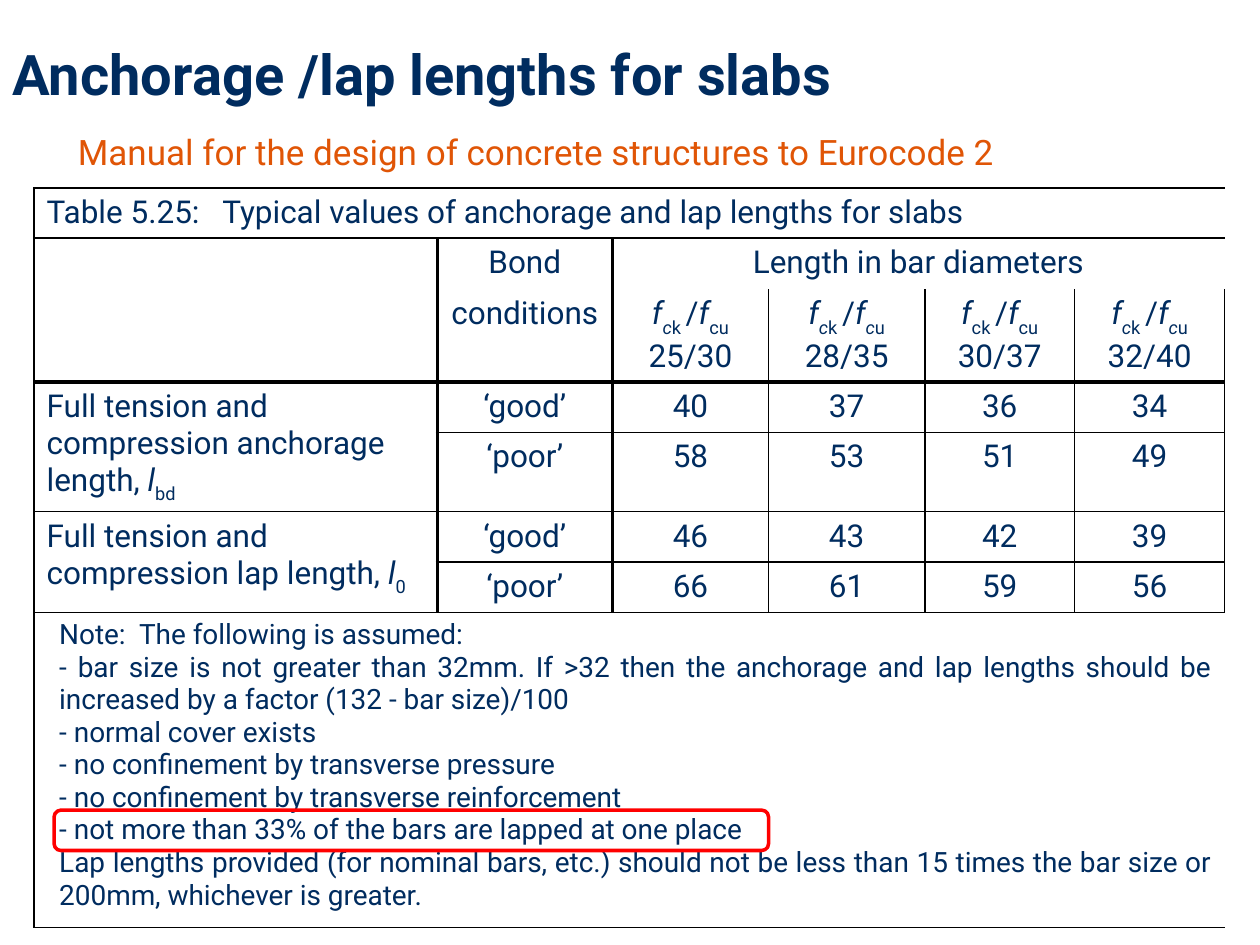
from dataclasses import dataclass

from lxml.etree import SubElement
from pptx import Presentation
from pptx.dml.color import RGBColor
from pptx.enum.shapes import MSO_SHAPE
from pptx.enum.text import MSO_ANCHOR, PP_ALIGN as Al
from pptx.oxml.ns import qn
from pptx.util import Inches, Pt


@dataclass(frozen=True)
class Theme:
    font: str = "Roboto"
    navy: str = "002C5F"
    orange: str = "E05506"
    red: str = "FF0000"
    white: str = "FFFFFF"
    black: str = "000000"
    title: int = 32
    subtitle: int = 20
    body: int = 18
    note: int = 16
    thin: int = 1
    thick: int = 2


T = Theme()
COLS = [3.2, 1.39, 1.24, 1.24, 1.19, 1.19]
ROWS = [0.4, 0.4, 0.73, 0.4, 0.63, 0.4, 0.4, 2.5]
LAST = len(ROWS) - 1
SPANS = [(0, 0, 0, 5), (1, 2, 1, 5), (3, 0, 4, 0), (5, 0, 6, 0), (LAST, 0, LAST, 5)]
LENGTHS = [
    ("‘good’", 40, 37, 36, 34),
    ("‘poor’", 58, 53, 51, 49),
    ("‘good’", 46, 43, 42, 39),
    ("‘poor’", 66, 61, 59, 56),
]
NOTES = [
    "Note:  The following is assumed:",
    "- bar size is not greater than 32mm. If >32 then the anchorage and lap lengths "
    "should be increased by a factor (132 - bar size)/100",
    "- normal cover exists",
    "- no confinement by transverse pressure",
    "- no confinement by transverse reinforcement",
    "- not more than 33% of the bars are lapped at one place",
    "Lap lengths provided (for nominal bars, etc.) should not be less than 15 times "
    "the bar size or 200mm, whichever is greater.",
]
ITALIC, SUB, ITALIC_SUB = "i", "s", "is"


def rgb(color):
    return RGBColor.from_string(color)


def add_runs(p, runs, size=T.body, color=T.navy, bold=False, align=Al.LEFT):
    p.alignment = align
    for text, style in runs:
        r = p.add_run()
        r.text = text
        font = {"name": T.font, "size": Pt(size), "bold": bold, "italic": "i" in style}
        for name, value in font.items():
            setattr(r.font, name, value)
        r.font.color.rgb = rgb(color)
        if "s" in style:
            r._r.get_or_add_rPr().set("baseline", "-30000")


def add_text(s, box, text, **fmt):
    tf = s.shapes.add_textbox(*map(Inches, box)).text_frame
    tf.word_wrap = True
    tf.vertical_anchor = MSO_ANCHOR.MIDDLE
    add_runs(tf.paragraphs[0], [(text, "")], **fmt)


def grade(text, ck_style, cu_style):
    return [("f", ITALIC), ("c", ck_style), ("k ", SUB), ("/", ""),
            ("f", ITALIC), ("c", cu_style), ("u", SUB), (" " + text, "")]


def same_span(a, b):
    return any(all(top <= row <= bottom and left <= col <= right for row, col in (a, b))
               for top, left, bottom, right in SPANS)


def edge_width(cell, neighbour):
    if same_span(cell, neighbour):
        return 0
    if cell[0] == neighbour[0]:
        return T.thick if max(cell[1], neighbour[1]) in (1, 2) else T.thin
    return {2: 0, 3: T.thick}.get(max(cell[0], neighbour[0]), T.thin)


def style_cell(cell, row, col):
    neighbours = {"L": (row, col - 1), "R": (row, col + 1),
                  "T": (row - 1, col), "B": (row + 1, col)}
    tc_pr = cell._tc.get_or_add_tcPr()
    for side, neighbour in neighbours.items():
        width = edge_width((row, col), neighbour)
        ln = SubElement(tc_pr, qn("a:ln" + side), w=str(Pt(width)))
        if width:
            fill = SubElement(ln, qn("a:solidFill"))
            SubElement(fill, qn("a:srgbClr"), val=T.black)
        else:
            SubElement(ln, qn("a:noFill"))
    cell.fill.solid()
    cell.fill.fore_color.rgb = rgb(T.white)


def fill_notes(cell):
    tf = cell.text_frame
    for i, note in enumerate(NOTES):
        p = tf.add_paragraph() if i else tf.paragraphs[0]
        add_runs(p, [(note, "")], size=T.note, align=Al.JUSTIFY)
        p._p.get_or_add_pPr().set("marL", str(Inches(0.1)))


def add_length_table(s):
    frame = s.shapes.add_table(len(ROWS), len(COLS), Inches(0.27), Inches(1.49),
                               Inches(sum(COLS)), Inches(sum(ROWS)))
    table = frame.table
    table.first_row = table.horz_banding = False
    for column, width in zip(table.columns, COLS):
        column.width = Inches(width)
    for line, height in zip(table.rows, ROWS):
        line.height = Inches(height)
    for row in range(len(ROWS)):
        for col in range(len(COLS)):
            style_cell(table.cell(row, col), row, col)
    for top, left, bottom, right in SPANS:
        table.cell(top, left).merge(table.cell(bottom, right))

    left_cells = {
        (0, 0): [("Table 5.25:   Typical values of anchorage and lap lengths for slabs", "")],
        (3, 0): [("Full tension and compression anchorage length, ", ""),
                 ("l", ITALIC), ("bd", SUB)],
        (5, 0): [("Full tension and compression lap length, ", ""), ("l", ITALIC), ("0", SUB)],
    }
    centred_cells = {
        (1, 1): [("Bond", "")],
        (1, 2): [("Length in bar diameters", "")],
        (2, 1): [("conditions", "")],
        (2, 2): grade("25/30", ITALIC_SUB, SUB),
        (2, 3): grade("28/35", ITALIC_SUB, ITALIC_SUB),
        (2, 4): grade("30/37", SUB, SUB),
        (2, 5): grade("32/40", ITALIC_SUB, ITALIC_SUB),
    }
    for row, values in enumerate(LENGTHS, 3):
        for col, value in enumerate(values, 1):
            centred_cells[row, col] = [(str(value), "")]
    for cells, align in ((left_cells, Al.LEFT), (centred_cells, Al.CENTER)):
        for place, runs in cells.items():
            add_runs(table.cell(*place).text_frame.paragraphs[0], runs, align=align)
    fill_notes(table.cell(LAST, 0))


def add_highlight(s, box):
    sp = s.shapes.add_shape(MSO_SHAPE.ROUNDED_RECTANGLE, *map(Inches, box))
    sp.shadow.inherit = False
    sp.fill.background()
    sp.line.color.rgb = rgb(T.red)
    sp.line.width = Pt(T.thick)


def main():
    prs = Presentation()
    prs.slide_width, prs.slide_height = Inches(10), Inches(7.5)
    s = prs.slides.add_slide(prs.slide_layouts[6])
    add_length_table(s)
    add_text(s, (0, 0.3, 6.94, 0.56), "Anchorage /lap lengths for slabs",
             size=T.title, bold=True)
    add_highlight(s, (0.43, 6.43, 5.67, 0.32))
    add_text(s, (0.52, 0.97, 9.2, 0.46),
             "Manual for the design of concrete structures to Eurocode 2",
             size=T.subtitle, color=T.orange)
    prs.save("out.pptx")


if __name__ == "__main__":
    main()
